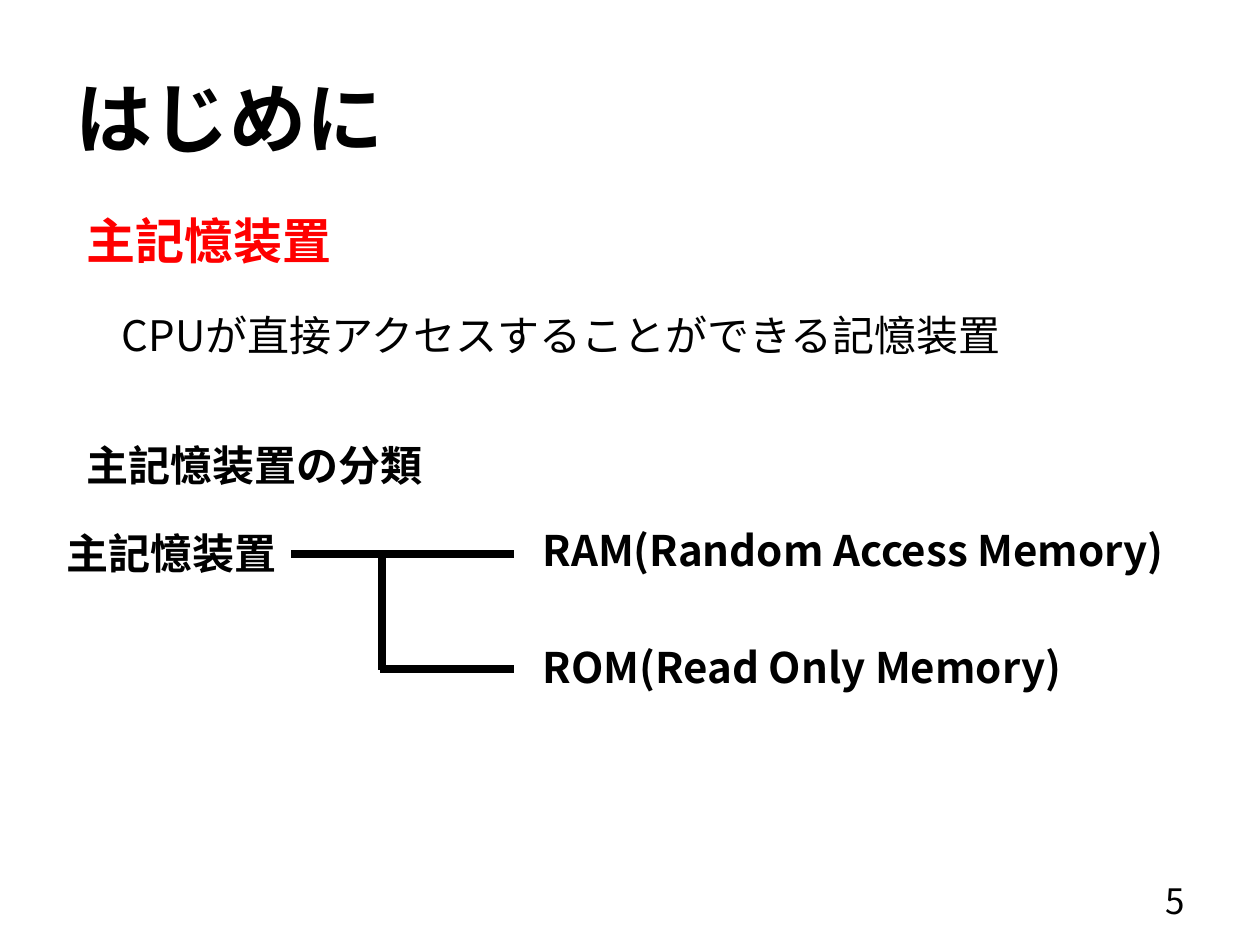
from typing import NamedTuple

from lxml import etree
from pptx import Presentation
from pptx import util as u
from pptx.dml.color import RGBColor
from pptx.enum import shapes, text
from pptx.oxml import ns

FONT = "Noto Sans CJK JP"
BLACK, RED = "000000", "FF0000"
COLS, ROWS = 100, 75
CELL = u.Inches(10) // COLS


class Label(NamedTuple):
    words: str
    col: float
    row: float
    wide: float
    tall: float = 5
    size: int = 24
    bold: bool = True
    color: str = BLACK


class Line(NamedTuple):
    col: float
    row: float
    end_col: float
    end_row: float


# Tree: trunk to the first branch, then a drop to the second
TOP, LOW = 44, 53.1
STEM = 30.3
LEAF, TIP = 42.1, 40.8

LABELS = [
    Label("主記憶装置", 5.9, 16.2, 44.1, 5.7, size=28, color=RED),
    Label("CPUが直接アクセスすることができる記憶装置", 8.7, 24.1, 87, bold=False),
    Label("主記憶装置の分類", 5.9, 34.4, 44.1),
    Label("主記憶装置", 4.3, 41.4, 18.9),
    Label("RAM(Random Access Memory)", LEAF, 41.1, 56.9),
    Label("ROM(Read Only Memory)", LEAF, 50.4, 56.9),
]
LINES = [
    Line(23.1, TOP, TIP, TOP),
    Line(STEM, TOP, STEM, LOW + 0.1),
    Line(STEM - 0.1, LOW, TIP, LOW),
]
TITLE = Label("はじめに", 5, 3, 90, 12.5, size=44)
NUMBER = Label("5", 71.7, 69.5, 23.3, 4, size=20, bold=False)


def grid(*cells: float) -> list[int]:
    return [round(c * CELL) for c in cells]


def paint(code: str) -> RGBColor:
    return RGBColor.from_string(code)


def write(shape, label: Label, align, anchor) -> None:
    """Place a text shape, fill in its words and format them."""
    shape.left, shape.top, shape.width, shape.height = grid(
        label.col, label.row, label.wide, label.tall)
    frame = shape.text_frame
    frame.text = label.words
    frame.word_wrap = True
    frame.auto_size = text.MSO_AUTO_SIZE.NONE
    frame.vertical_anchor = anchor
    para = frame.paragraphs[0]
    para.alignment = align
    font = para.runs[0].font
    font.name, font.size, font.bold = FONT, u.Pt(label.size), label.bold
    font.color.rgb = paint(label.color)
    # Japanese glyphs take the East Asian typeface
    props = para.runs[0]._r.get_or_add_rPr()
    etree.SubElement(props, ns.qn("a:ea"), typeface=FONT)


def add_label(slide, label: Label, align=text.PP_ALIGN.LEFT,
              anchor=text.MSO_ANCHOR.TOP) -> None:
    write(slide.shapes.add_textbox(0, 0, 0, 0), label, align, anchor)


def add_line(slide, line: Line) -> None:
    link = slide.shapes.add_connector(
        shapes.MSO_CONNECTOR.STRAIGHT, *grid(*line))
    link.line.width = u.Pt(4.5)
    link.line.color.rgb = paint(BLACK)
    etree.SubElement(link._element.spPr, ns.qn("a:effectLst"))


def main() -> None:
    deck = Presentation()
    deck.slide_width, deck.slide_height = COLS * CELL, ROWS * CELL
    slide = deck.slides.add_slide(deck.slide_layouts.get_by_name("Title Only"))

    # Title
    write(slide.shapes.title, TITLE, text.PP_ALIGN.LEFT, text.MSO_ANCHOR.MIDDLE)

    # Body text and memory tree
    for label in LABELS:
        add_label(slide, label)
    for line in LINES:
        add_line(slide, line)

    # Page number
    add_label(slide, NUMBER, text.PP_ALIGN.RIGHT, text.MSO_ANCHOR.MIDDLE)
    deck.save("out.pptx")


if __name__ == "__main__":
    main()
